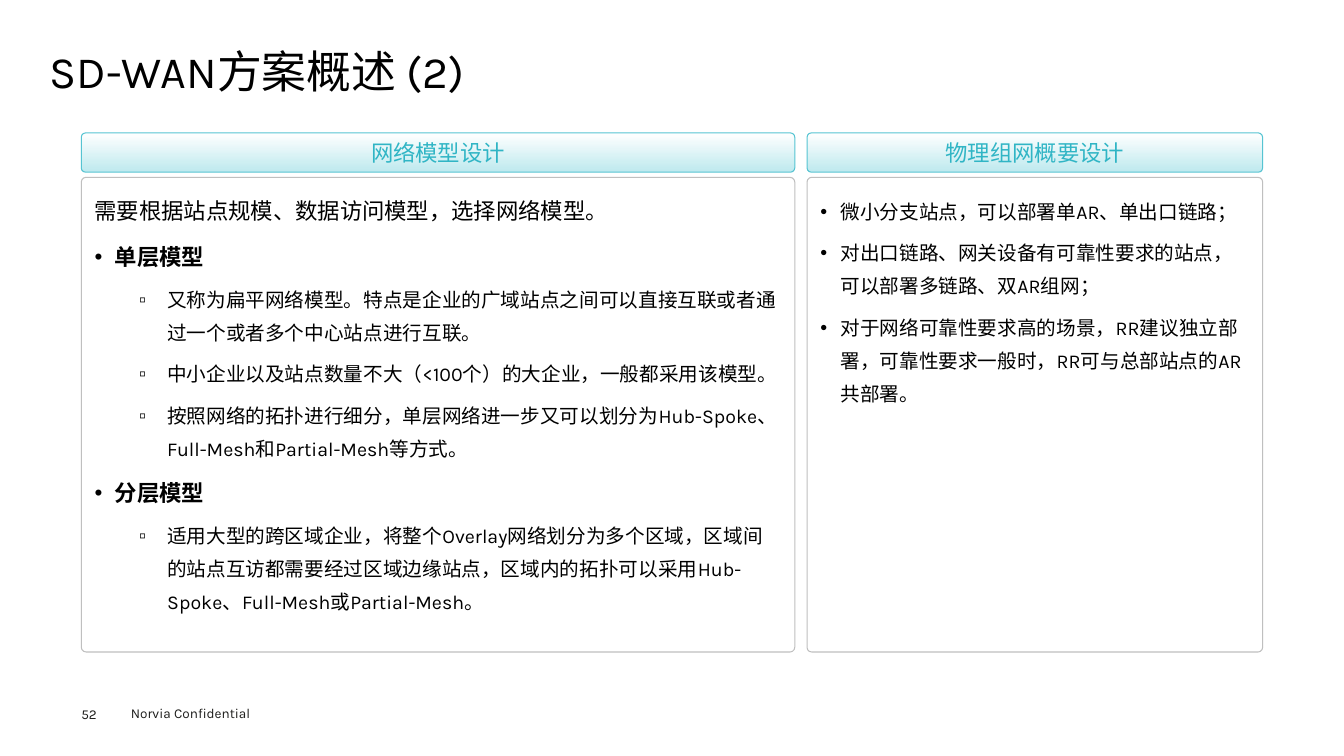
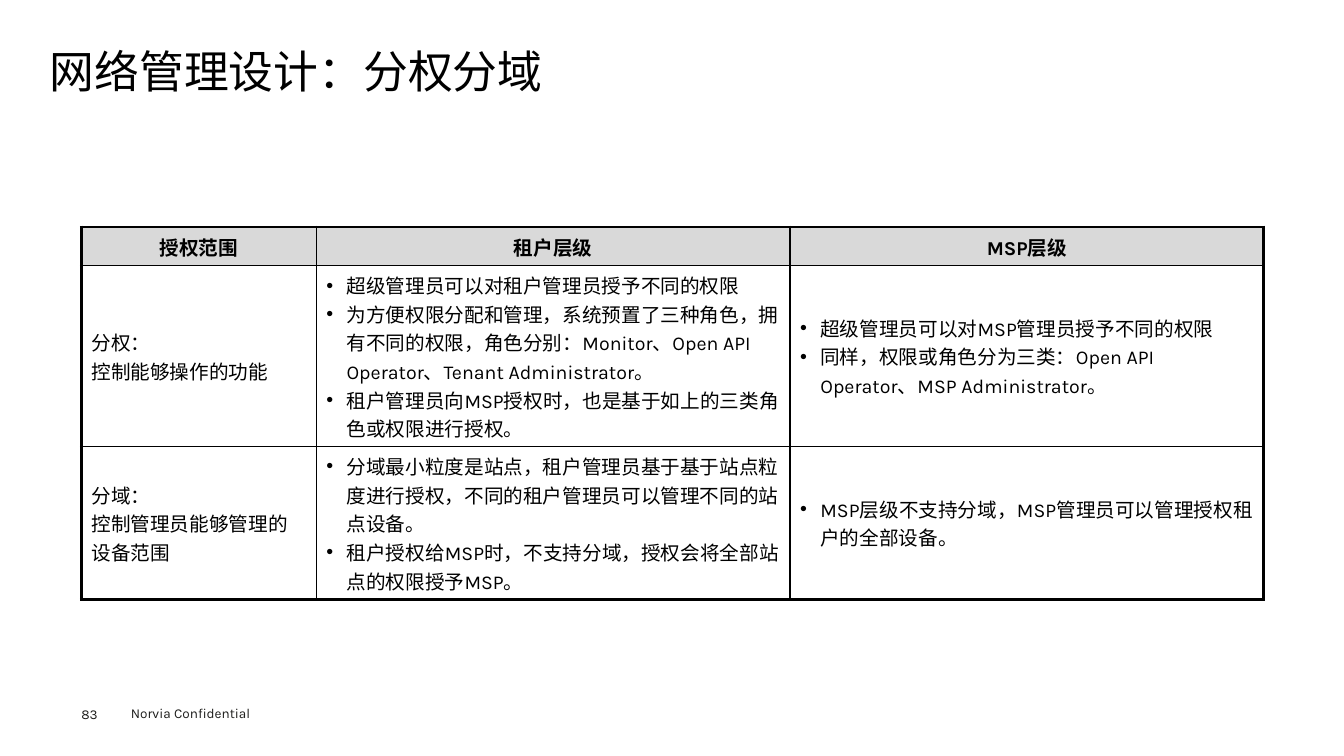
from lxml.etree import SubElement
from pptx import Presentation
from pptx.dml.color import RGBColor
from pptx.enum.shapes import MSO_SHAPE
from pptx.enum.text import MSO_ANCHOR, MSO_AUTO_SIZE, PP_ALIGN
from pptx.oxml.ns import qn
from pptx.util import Cm, Pt

FONT = "Karla"
BLACK = RGBColor(0x00, 0x00, 0x00)
WHITE = RGBColor(0xFF, 0xFF, 0xFF)
FOOTER_GREY = RGBColor(0x1D, 0x1D, 0x1B)
BORDER_GREY = RGBColor(0xBF, 0xBF, 0xBF)
HEADER_GREY = RGBColor(0xD9, 0xD9, 0xD9)
TEAL = RGBColor(0x30, 0xB5, 0xC5)
TEAL_LINE = RGBColor(0x56, 0xC4, 0xD2)
TEAL_PALE = RGBColor(0xBE, 0xE9, 0xEE)

FOOTER = "Norvia Confidential"
CONTENT_LEFT = 2.05

# Paragraph styles: size, bold, bullet, left indent and hanging indent in cm, level
STYLES = {
    "lead": (16, False, None, 0, 0, 0),
    "head": (16, True, "•", 0.51, 0.51, 0),
    "sub": (14, False, "▫", 1.83, 0.71, 1),
    "item": (14, False, "•", 0.51, 0.51, 0),
    "plain": (14, False, None, 0, 0, 0),
    "bold": (14, True, None, 0, 0, 0),
}

OVERVIEW_TITLE = "SD-WAN方案概述 (2)"
PANELS = [
    ("网络模型设计", 17.98, [
        ("lead", "需要根据站点规模、数据访问模型，选择网络模型。"),
        ("head", "单层模型"),
        ("sub", "又称为扁平网络模型。特点是企业的广域站点之间可以直接互联或者通过一个或者多个中心站点进行互联。"),
        ("sub", "中小企业以及站点数量不大（<100个）的大企业，一般都采用该模型。"),
        ("sub", "按照网络的拓扑进行细分，单层网络进一步又可以划分为Hub-Spoke、Full-Mesh和Partial-Mesh等方式。"),
        ("head", "分层模型"),
        ("sub", "适用大型的跨区域企业，将整个Overlay网络划分为多个区域，区域间的站点互访都需要经过区域边缘站点，"
                "区域内的拓扑可以采用Hub-Spoke、Full-Mesh或Partial-Mesh。"),
    ]),
    ("物理组网概要设计", 11.48, [
        ("item", "微小分支站点，可以部署单AR、单出口链路；"),
        ("item", "对出口链路、网关设备有可靠性要求的站点，可以部署多链路、双AR组网；"),
        ("item", "对于网络可靠性要求高的场景，RR建议独立部署，可靠性要求一般时，RR可与总部站点的AR共部署。"),
    ]),
]
PANEL_GAP = 0.31
HEADING_TOP, HEADING_HEIGHT = 3.35, 0.99
PANEL_TOP, PANEL_HEIGHT = 4.47, 11.96

ADMIN_TITLE = "网络管理设计：分权分域"
COLUMN_WIDTHS = [5.92, 11.94, 11.94]
ROW_HEIGHTS = [0.98, 4.56, 3.84]
TABLE_TOP = 5.72
ADMIN_ROWS = [
    [["授权范围"], ["租户层级"], ["MSP层级"]],
    [
        ["分权：", "控制能够操作的功能"],
        ["超级管理员可以对租户管理员授予不同的权限",
         "为方便权限分配和管理，系统预置了三种角色，拥有不同的权限，角色分别："
         "Monitor、Open API Operator、Tenant Administrator。",
         "租户管理员向MSP授权时，也是基于如上的三类角色或权限进行授权。"],
        ["超级管理员可以对MSP管理员授予不同的权限",
         "同样，权限或角色分为三类：Open API Operator、MSP Administrator。"],
    ],
    [
        ["分域：", "控制管理员能够管理的设备范围"],
        ["分域最小粒度是站点，租户管理员基于基于站点粒度进行授权，不同的租户管理员可以管理不同的站点设备。",
         "租户授权给MSP时，不支持分域，授权会将全部站点的权限授予MSP。"],
        ["MSP层级不支持分域，MSP管理员可以管理授权租户的全部设备。"],
    ],
]


def format_runs(para, size, color=BLACK, bold=False):
    for span in para.runs:
        span.font.name = FONT
        span.font.size = Pt(size)
        span.font.bold = bold
        span.font.color.rgb = color


def set_margins(frame, margin):
    frame.margin_left = frame.margin_right = Cm(margin)
    frame.margin_top = frame.margin_bottom = Cm(margin)


def set_bullet(para, bullet, indent, hanging):
    properties = para._p.get_or_add_pPr()
    properties.set("marL", str(Cm(indent)))
    properties.set("indent", str(-Cm(hanging)))
    if bullet:
        SubElement(properties, qn("a:buFont"), typeface="Arial")
        SubElement(properties, qn("a:buChar"), char=bullet)
    else:
        SubElement(properties, qn("a:buNone"))


def write_list(frame, entries, align=PP_ALIGN.LEFT):
    """Write (style, text) entries, one paragraph each."""
    for index, (style, text) in enumerate(entries):
        size, bold, bullet, indent, hanging, level = STYLES[style]
        para = frame.paragraphs[0] if index == 0 else frame.add_paragraph()
        para.text = text
        para.level = level
        para.alignment = align
        set_bullet(para, bullet, indent, hanging)
        format_runs(para, size, bold=bold)


def add_footer_text(page, text, left, top, width, height, margins=True):
    box = page.shapes.add_textbox(Cm(left), Cm(top), Cm(width), Cm(height))
    if not margins:
        set_margins(box.text_frame, 0)
    box.text_frame.word_wrap = True
    box.text_frame.text = text
    format_runs(box.text_frame.paragraphs[0], 9.7, FOOTER_GREY)


def add_page(deck, title_text, number):
    """Add a slide with the shared title style and footer."""
    page = deck.slides.add_slide(deck.slide_layouts[5])
    title = page.shapes.title
    title.left, title.top, title.width, title.height = Cm(1.25), Cm(1.25), Cm(31.37), Cm(1.37)
    frame = title.text_frame
    set_margins(frame, 0)
    frame.vertical_anchor = MSO_ANCHOR.TOP
    frame.auto_size = MSO_AUTO_SIZE.NONE
    frame.text = title_text
    para = frame.paragraphs[0]
    para.alignment = PP_ALIGN.LEFT
    para.line_spacing = 0.9
    format_runs(para, 32)
    add_footer_text(page, FOOTER, 3.05, 17.65, 4.06, 0.69)
    add_footer_text(page, str(number), CONTENT_LEFT, 17.78, 1.4, 0.41, margins=False)
    return page


def add_rounded(page, left, top, width, height, radius, line_color):
    box = page.shapes.add_shape(MSO_SHAPE.ROUNDED_RECTANGLE,
                                Cm(left), Cm(top), Cm(width), Cm(height))
    box.adjustments[0] = radius
    box.shadow.inherit = False
    box.line.color.rgb = line_color
    box.line.width = Pt(0.75)
    box.text_frame.word_wrap = True
    return box


def add_heading(page, text, left, width):
    box = add_rounded(page, left, HEADING_TOP, width, HEADING_HEIGHT, 0.11, TEAL_LINE)
    box.fill.gradient()
    box.fill.gradient_angle = 270
    for stop, color, position in zip(box.fill.gradient_stops, (WHITE, TEAL_PALE), (0, 1)):
        stop.color.rgb = color
        stop.position = position
    box.text_frame.text = text
    box.text_frame.vertical_anchor = MSO_ANCHOR.MIDDLE
    para = box.text_frame.paragraphs[0]
    para.alignment = PP_ALIGN.CENTER
    format_runs(para, 16, TEAL)


def add_panel(page, entries, left, width):
    box = add_rounded(page, left, PANEL_TOP, width, PANEL_HEIGHT, 0.01, BORDER_GREY)
    box.fill.background()
    frame = box.text_frame
    set_margins(frame, 0.3)
    frame.vertical_anchor = MSO_ANCHOR.TOP
    write_list(frame, entries)
    for para, (style, _) in zip(frame.paragraphs, entries):
        para.line_spacing = Pt(24) if style == "lead" else 1.4
        para.space_after = Pt(6)


def set_borders(cell, row, column, last_row, last_column):
    """Draw thick lines on the table's outer edge and thin ones inside."""
    properties = cell._tc.get_or_add_tcPr()
    outer_edges = {"a:lnL": column == 0, "a:lnR": column == last_column,
                   "a:lnT": row == 0, "a:lnB": row == last_row}
    for tag, is_outer in outer_edges.items():
        line = SubElement(properties, qn(tag), w=str(Pt(2.25 if is_outer else 1)))
        fill = SubElement(line, qn("a:solidFill"))
        SubElement(fill, qn("a:srgbClr"), val=str(BLACK))


def fill_cell(cell, row, column, texts):
    set_borders(cell, row, column, len(ROW_HEIGHTS) - 1, len(COLUMN_WIDTHS) - 1)
    cell.vertical_anchor = MSO_ANCHOR.MIDDLE
    if row == 0:
        cell.fill.solid()
        cell.fill.fore_color.rgb = HEADER_GREY
        style, align = "bold", PP_ALIGN.CENTER
    else:
        cell.fill.background()
        style, align = ("item" if column else "plain"), PP_ALIGN.LEFT
    write_list(cell.text_frame, [(style, text) for text in texts], align)


def build_overview(deck):
    page = add_page(deck, OVERVIEW_TITLE, 52)
    left = CONTENT_LEFT
    for heading, width, entries in PANELS:
        add_heading(page, heading, left, width)
        add_panel(page, entries, left, width)
        left += width + PANEL_GAP


def build_admin(deck):
    page = add_page(deck, ADMIN_TITLE, 83)
    table = page.shapes.add_table(
        len(ROW_HEIGHTS), len(COLUMN_WIDTHS), Cm(CONTENT_LEFT), Cm(TABLE_TOP),
        Cm(sum(COLUMN_WIDTHS)), Cm(sum(ROW_HEIGHTS))).table
    table.first_row = table.horz_banding = False
    for column, width in zip(table.columns, COLUMN_WIDTHS):
        column.width = Cm(width)
    for row, height in zip(table.rows, ROW_HEIGHTS):
        row.height = Cm(height)
    for row, cells in enumerate(ADMIN_ROWS):
        for column, texts in enumerate(cells):
            fill_cell(table.cell(row, column), row, column, texts)


def main():
    deck = Presentation()
    deck.slide_width, deck.slide_height = Cm(33.87), Cm(19.05)
    build_overview(deck)
    build_admin(deck)
    deck.save("out.pptx")


if __name__ == "__main__":
    main()
